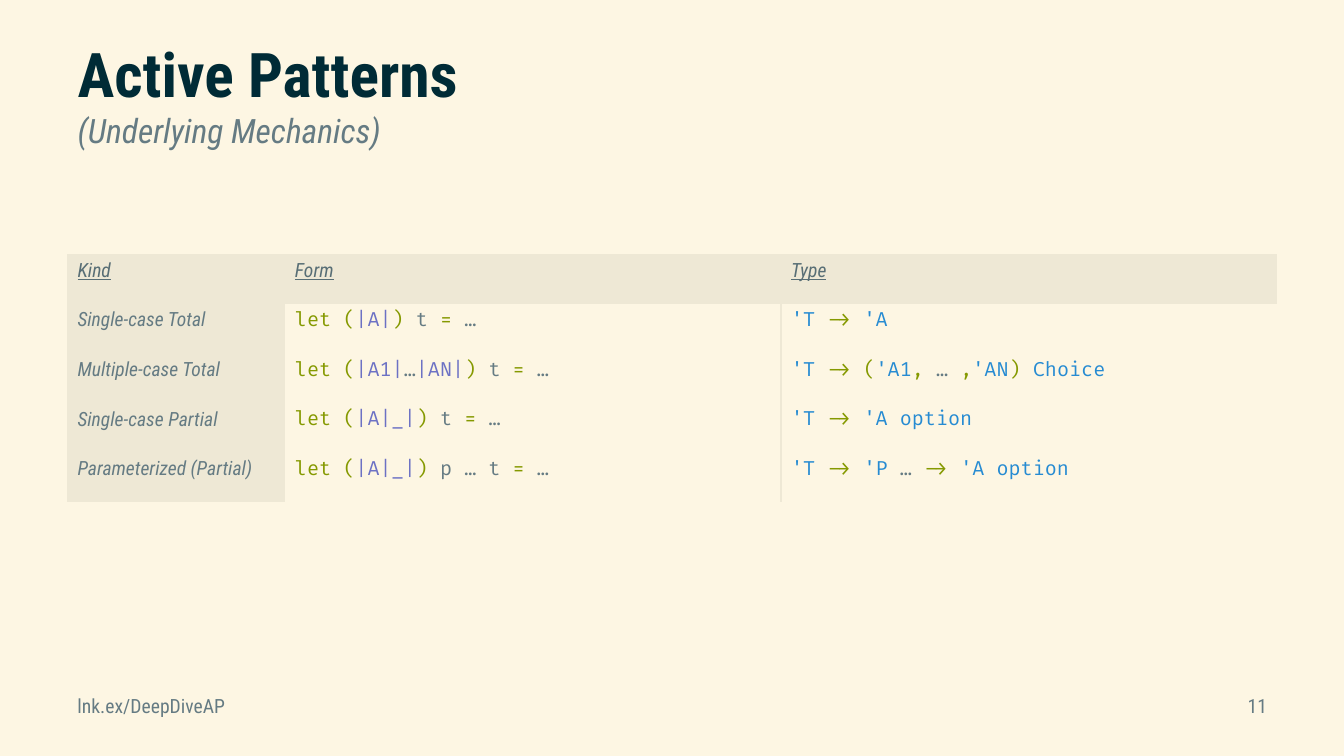
from dataclasses import dataclass
from lxml import etree
from pptx import Presentation, util as u
from pptx.dml import color
from pptx.enum import text
from pptx.oxml import ns


@dataclass(frozen=True)
class Theme:
    back: str = "FDF6E3"
    shade: str = "EEE8D5"
    dark: str = "002B36"
    head: str = "586E75"
    body: str = "657B83"
    green: str = "859900"
    violet: str = "6C71C4"
    blue: str = "268BD2"
    sans: str = "Roboto Condensed"
    mono: str = "Fira Code"
    title: int = 44
    sub: int = 24
    base: int = 14


T = Theme()
PLAIN = "{2D5ABB26-0587-4C30-8999-92F81FD0307C}"  # table style without grid


class Deck:
    def __init__(self, theme):
        self.theme = theme
        self.prs = Presentation()
        self.prs.slide_width, self.prs.slide_height = u.Cm(33.87), u.Cm(19.05)
        self.slide = self.prs.slides.add_slide(self.prs.slide_layouts[5])
        self.paint(self.slide.background.fill, theme.back)

    def paint(self, fill, tone):
        fill.solid()
        fill.fore_color.rgb = color.RGBColor.from_string(tone)

    def run(self, para, words, tone, size=None, face=None, **marks):
        run = para.add_run()
        run.text = words
        font = run.font
        font.name = face or self.theme.sans
        font.size = u.Pt(size or self.theme.base)
        font.color.rgb = color.RGBColor.from_string(tone)
        for mark, value in marks.items():
            setattr(font, mark, value)

    def title(self, box, main, sub):
        shape = self.slide.shapes.title
        shape.left, shape.top, shape.width, shape.height = map(u.Cm, box)
        frame = shape.text_frame
        frame.auto_size = text.MSO_AUTO_SIZE.NONE
        frame.vertical_anchor = text.MSO_ANCHOR.MIDDLE
        para = frame.paragraphs[0]
        para.alignment = text.PP_ALIGN.LEFT
        self.run(para, main, self.theme.dark, self.theme.title, bold=True)
        para.add_line_break()
        self.run(para, sub, self.theme.body, self.theme.sub, bold=False, italic=True)

    def label(self, box, words, align):
        frame = self.slide.shapes.add_textbox(*map(u.Cm, box)).text_frame
        frame.word_wrap = True
        para = frame.paragraphs[0]
        para.alignment = align
        self.run(para, words, self.theme.body)

    def edge(self, cell, side):
        line = etree.Element(ns.qn("a:" + side), w=str(u.Pt(1)))
        fill = etree.SubElement(line, ns.qn("a:solidFill"))
        etree.SubElement(fill, ns.qn("a:srgbClr"), val=self.theme.shade)
        cell._tc.get_or_add_tcPr().insert(0, line)

    def table(self, left, top, cols, high, heads, rows):
        count = len(rows) + 1
        frame = self.slide.shapes.add_table(
            count, len(cols), u.Cm(left), u.Cm(top), u.Cm(sum(cols)), u.Cm(high * count))
        grid = frame.table
        grid.first_row = grid.horz_banding = False
        grid._tbl.tblPr.find(ns.qn("a:tableStyleId")).text = PLAIN
        for col, wide in zip(grid.columns, cols):
            col.width = u.Cm(wide)
        for row in grid.rows:
            row.height = u.Cm(high)

        # Header row
        for c, head in enumerate(heads):
            cell = grid.cell(0, c)
            self.paint(cell.fill, self.theme.shade)
            self.run(cell.text_frame.paragraphs[0], head, self.theme.head,
                     italic=True, underline=True)

        # Kind column, then two columns of code
        for r, (kind, *codes) in enumerate(rows, 1):
            cell = grid.cell(r, 0)
            self.paint(cell.fill, self.theme.shade)
            self.run(cell.text_frame.paragraphs[0], kind, self.theme.body, italic=True)
            for c, (code, side) in enumerate(zip(codes, ("lnR", "lnL")), 1):
                cell = grid.cell(r, c)
                self.paint(cell.fill, self.theme.back)
                self.edge(cell, side)
                for words, tone in code:
                    self.run(cell.text_frame.paragraphs[0], words, tone,
                             face=self.theme.mono)


# Code pieces
DOTS = ("…", T.body)
GAP = ("… ", T.body)
ARROW = ("-> ", T.green)
INPUT = ("'T ", T.blue)
OPTION = ("'A option", T.blue)


def form(*case, args="t "):
    return [("let (", T.green), *case, (") ", T.green), (args, T.body),
            ("= ", T.green), DOTS]


def name(words):
    return words, T.violet


ROWS = [
    ("Single-case Total", form(name("|A|")), [INPUT, ARROW, ("'A", T.blue)]),
    ("Multiple-case Total", form(name("|A1|"), DOTS, name("|AN|")),
     [INPUT, ("-> (", T.green), ("'A1", T.blue), (", ", T.green), GAP,
      (",", T.green), ("'AN", T.blue), (") ", T.green), ("Choice", T.blue)]),
    ("Single-case Partial", form(name("|A|_|")), [INPUT, ARROW, OPTION]),
    ("Parameterized (Partial)", form(name("|A|_|"), args="p … t "),
     [INPUT, ARROW, ("'P ", T.blue), GAP, ARROW, OPTION]),
]

LEFT, WIDE, FOOT = 1.7, 30.48, 7.88
deck = Deck(T)
deck.title((LEFT, 0.76, WIDE, 3.18), "Active Patterns ", "(Underlying Mechanics)")
deck.table(LEFT, 6.4, (5.48, 12.5, 12.5), 1.25, ("Kind", "Form", "Type"), ROWS)

# Footer
deck.label((LEFT + WIDE - FOOT, 17.35, FOOT, 1.32), "11", text.PP_ALIGN.RIGHT)
deck.label((LEFT, 17.35, FOOT, 1.32), "lnk.ex/DeepDiveAP", text.PP_ALIGN.LEFT)

deck.prs.save("out.pptx")
